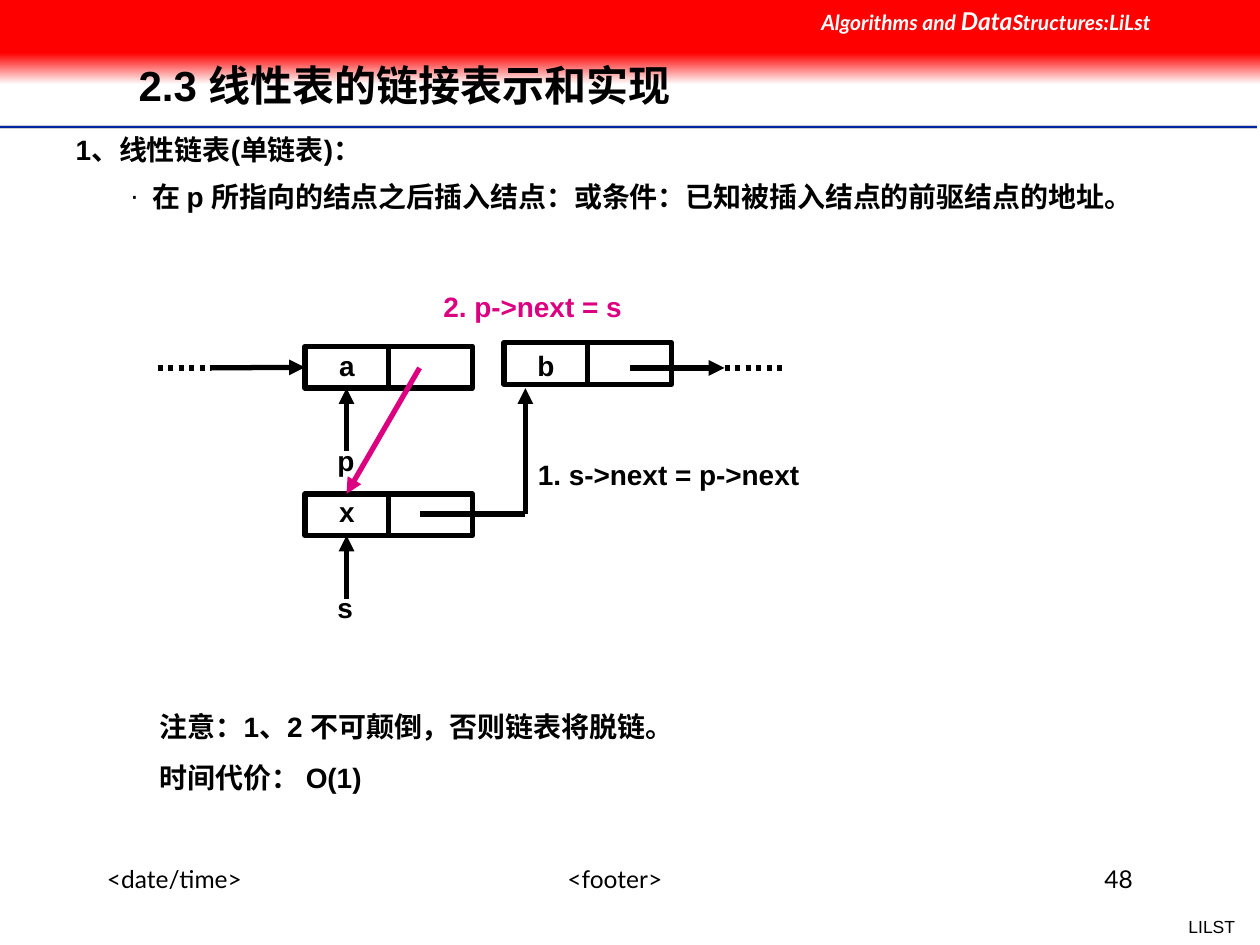
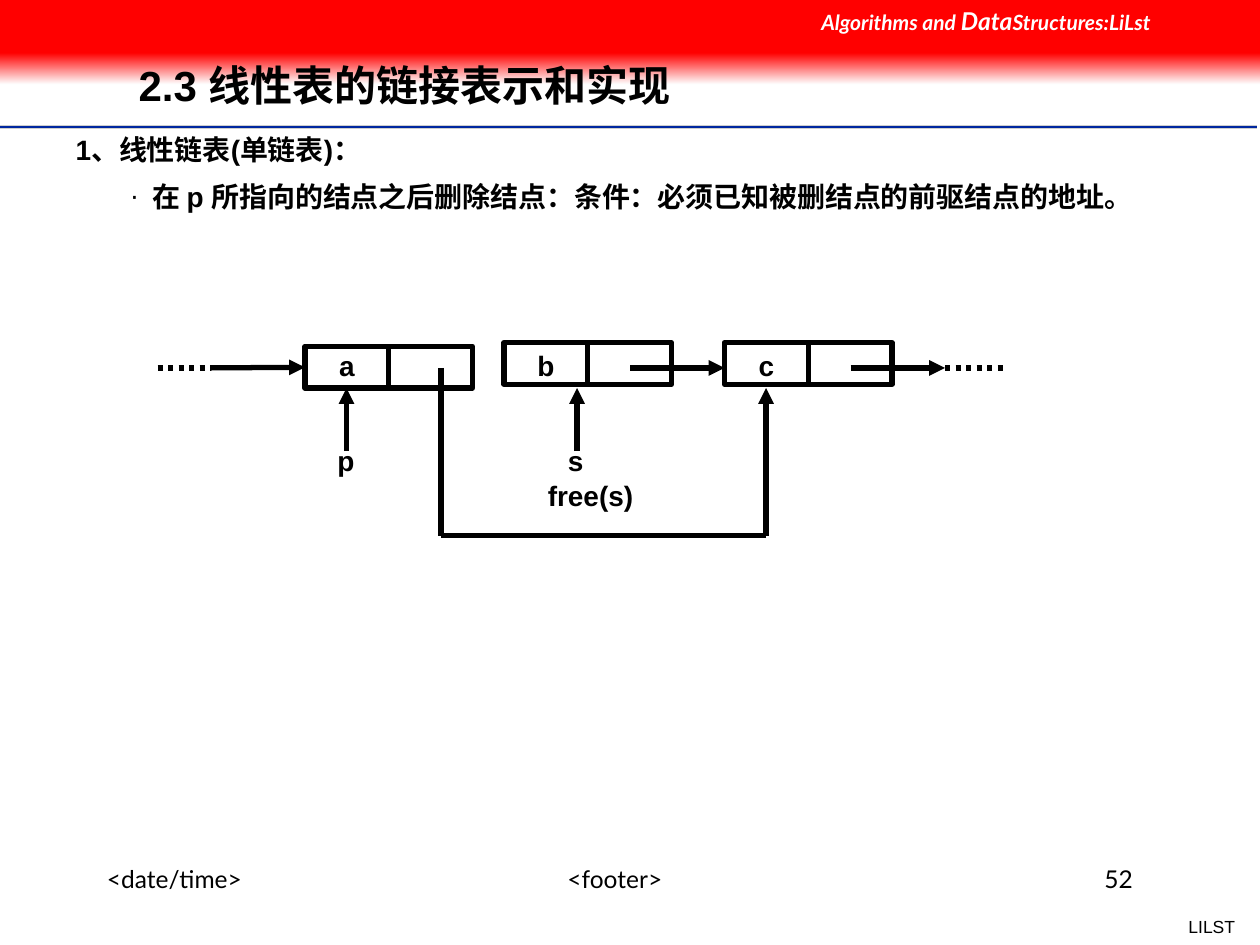
from lxml import etree
from pptx import Presentation
from pptx.dml.color import RGBColor
from pptx.enum.dml import MSO_LINE
from pptx.enum.shapes import MSO_CONNECTOR, MSO_SHAPE
from pptx.enum.text import MSO_ANCHOR, MSO_AUTO_SIZE, PP_ALIGN
from pptx.oxml.ns import qn
from pptx.util import Inches, Pt

DOTTED = MSO_LINE.ROUND_DOT
STRAIGHT = MSO_CONNECTOR.STRAIGHT
RECTANGLE = MSO_SHAPE.RECTANGLE
LEFT, CENTER, RIGHT = PP_ALIGN.LEFT, PP_ALIGN.CENTER, PP_ALIGN.RIGHT

BLACK, WHITE, RED, MAGENTA = "000000", "FFFFFF", "FF0000", "DC0081"
FADE_END, RULE_GREY, RULE_BLUE = "FEFEFE", "CECECE", "00279F"

# Text formats
BOLD_TEXT = {"name": "Arial", "size": Pt(16), "bold": True}
TITLE_TEXT = {"name": "Arial", "size": Pt(24), "bold": True}
FOOTER_TEXT = {"name": "Lato", "size": Pt(14), "bold": False}
AUTHOR_TEXT = {"name": "Arial", "size": Pt(10), "bold": False}
COURSE_TEXT = {"name": "Lato", "size": Pt(12), "bold": True, "italic": True}

# Shared content
TITLE = "2.3 线性表的链接表示和实现"
TOPIC = "1、线性链表(单链表)："
COURSE = [("Algorithms and ", 12), ("Data", 14), ("Structures:LiLst", 12)]
FOOTERS = [("<date/time>", (0.75, 6.81, 1.92, 0.5), LEFT),
           ("<footer>", (3.42, 6.81, 2.92, 0.5), CENTER)]
NUMBER_BOX = (7.17, 6.81, 1.92, 0.5)
TITLE_RULES = [(1.01, RULE_GREY, 2), (1.01, RULE_BLUE, 1), (1.03, WHITE, 1)]

# Diagram measures
NODE_W, NODE_H, TEXT_H = 1.33, 0.33, 0.37
LINK_Y = 2.92          # height of the links along the list
LINK_LENGTH, DOTS_LENGTH = 0.75, 0.5
POINTER_LENGTH = 0.5

# Nodes: label, left, top, label top, has a link to the next node
# Pointers: name, x, bottom of the node it points at
# Links: from, to, colour, ends in an arrow
# Captions: paragraphs, box, colour
SLIDES = [
    {
        "number": "48",
        "point": "在 p 所指向的结点之后插入结点：或条件：已知被插入结点的前驱结点的地址。",
        "nodes": [("a", 2.42, 2.75, 2.72, False),
                  ("b", 4, 2.72, 2.72, True),
                  ("x", 2.42, 3.92, 3.88, False)],
        "pointers": [("p", 2.75, 3.08), ("s", 2.75, 4.25)],
        "links": [((3.33, LINK_Y), (2.75, 3.92), MAGENTA, True),
                  ((3.33, 4.08), (4.17, 4.08), BLACK, False),
                  ((4.17, 4.08), (4.17, 3.08), BLACK, True)],
        "list_end": 5.75,
        "captions": [
            (["1. s->next = p->next"], (4.17, 3.58, 2.42, TEXT_H), BLACK),
            (["2. p->next = s"], (3.42, 2.25, 1.67, TEXT_H), MAGENTA),
            (["注意：1、2 不可颠倒，否则链表将脱链。", "时间代价： O(1)"],
             (1.17, 5.58, 5.67, 0.77), BLACK),
        ],
    },
    {
        "number": "52",
        "point": "在 p 所指向的结点之后删除结点：条件：必须已知被删结点的前驱结点的地址。",
        "nodes": [("a", 2.42, 2.75, 2.72, False),
                  ("b", 4, 2.72, 2.72, True),
                  ("c", 5.75, 2.72, 2.72, True)],
        "pointers": [("p", 2.75, 3.08), ("s", 4.58, 3.08)],
        "links": [((3.5, LINK_Y), (3.5, 4.25), BLACK, False),
                  ((3.5, 4.25), (6.08, 4.25), BLACK, False),
                  ((6.08, 4.25), (6.08, 3.08), BLACK, True)],
        "list_end": 7.5,
        "captions": [(["free(s)"], (4.25, 3.75, 2.83, TEXT_H), BLACK)],
    },
]


def rgb(hex_colour):
    return RGBColor.from_string(hex_colour)


def inches(values):
    return [Inches(value) for value in values]


def set_font(font, text_format, colour=BLACK):
    for attribute, value in text_format.items():
        setattr(font, attribute, value)
    font.color.rgb = rgb(colour)


def add_text(slide, paragraphs, box, text_format=BOLD_TEXT, colour=BLACK,
             align=LEFT, wrap=True):
    text_box = slide.shapes.add_textbox(*inches(box))
    frame = text_box.text_frame
    frame.word_wrap = wrap
    frame.text = "\n".join(paragraphs)
    for index, paragraph in enumerate(frame.paragraphs):
        paragraph.alignment = align
        paragraph.space_before = Pt(10 if index else 0)
        for run in paragraph.runs:
            set_font(run.font, text_format, colour)
    return text_box


def add_rectangle(slide, box, fill=WHITE):
    rectangle = slide.shapes.add_shape(RECTANGLE, *inches(box))
    rectangle.shadow.inherit = False
    rectangle.fill.solid()
    rectangle.fill.fore_color.rgb = rgb(fill)
    rectangle.line.fill.background()
    return rectangle


def add_line(slide, start, end, colour=BLACK, width=3, arrow=False, dotted=False):
    connector = slide.shapes.add_connector(STRAIGHT, *inches(start + end))
    connector.line.color.rgb = rgb(colour)
    connector.line.width = Pt(width)
    if dotted:
        connector.line.dash_style = DOTTED
    properties = connector.element.spPr
    if arrow:
        etree.SubElement(properties.find(qn("a:ln")), qn("a:tailEnd"), type="triangle")
    etree.SubElement(properties, qn("a:effectLst"))
    return connector


def furnish_layout(layout, slide):
    """Draw the shared parts with the slide's tools, then move them to its layout."""
    shared = [add_line(slide, (0, y), (9.98, y), colour, width)
              for y, colour, width in TITLE_RULES]
    shared.append(add_text(slide, ["LILST"], (9.33, 7.22, 0.57, 0.27),
                           AUTHOR_TEXT, align=RIGHT, wrap=False))
    shared += [add_text(slide, [text], box, FOOTER_TEXT, align=align)
               for text, box, align in FOOTERS]

    # Red band fading into the page
    fade = add_rectangle(slide, (0, 0.42, 10, 0.25))
    fade.fill.gradient()
    fade.fill.gradient_angle = 270
    for stop, colour in zip(fade.fill.gradient_stops, (RED, FADE_END)):
        stop.color.rgb = rgb(colour)
    shared += [fade, add_rectangle(slide, (0, 0, 10, 0.42), RED)]

    # Course name
    course = add_text(slide, [""], (6.42, 0, 3.58, 0.34))
    for text, size in COURSE:
        run = course.text_frame.paragraphs[0].add_run()
        run.text = text
        set_font(run.font, {**COURSE_TEXT, "size": Pt(size)}, WHITE)
    shared.append(course)

    for part in shared:
        layout.shapes.element.append(part.element)


def place(placeholder, box):
    placeholder.left, placeholder.top, placeholder.width, placeholder.height = inches(box)
    placeholder.text_frame.auto_size = MSO_AUTO_SIZE.NONE
    placeholder.text_frame.word_wrap = True
    return placeholder.text_frame


def fill_placeholders(slide, point):
    title = place(slide.shapes.title, (1, 0.33, 7.55, 0.74))
    title.text = TITLE
    title.vertical_anchor = MSO_ANCHOR.MIDDLE
    heading = title.paragraphs[0]
    heading.alignment = LEFT
    heading.line_spacing = 0.9
    set_font(heading.font, TITLE_TEXT)

    body = place(slide.placeholders[1], (0, 1, 9.58, 0.75))
    body.text = TOPIC + "\n" + point
    body.vertical_anchor = MSO_ANCHOR.TOP
    for paragraph, bullet, margin, indent, before in zip(
            body.paragraphs, (None, "·"), (0.5, 1.11), (0, -0.18), (0, 7.5)):
        properties = paragraph._p.get_or_add_pPr()
        properties.set("marL", str(Inches(margin)))
        properties.set("indent", str(Inches(indent)))
        if bullet:
            etree.SubElement(properties, qn("a:buFont"), typeface="Arial")
            etree.SubElement(properties, qn("a:buChar"), char=bullet)
        else:
            etree.SubElement(properties, qn("a:buNone"))
        paragraph.space_before = Pt(before)
        set_font(paragraph.font, BOLD_TEXT)


def draw_list(slide, content):
    # Nodes with a data half and a link half
    nodes = {}
    for label, left, top, label_top, linked in content["nodes"]:
        node = add_rectangle(slide, (left, top, NODE_W, NODE_H))
        node.line.color.rgb = rgb(BLACK)
        node.line.width = Pt(3)
        nodes[label] = node
        middle = left + NODE_W / 2
        add_line(slide, (middle, top), (middle, top + NODE_H))
        add_text(slide, [label], (left, label_top, NODE_W / 2, TEXT_H), align=CENTER)
    for label, left, top, label_top, linked in content["nodes"]:
        if linked:
            add_line(slide, (left + 1, LINK_Y), (left + 1 + LINK_LENGTH, LINK_Y), arrow=True)

    # The list goes on at both ends
    add_line(slide, (1.25, LINK_Y), (1.67, LINK_Y), dotted=True)
    add_line(slide, (1.67, LINK_Y), (2.42, LINK_Y), arrow=True).end_connect(nodes["a"], 1)
    list_end = content["list_end"]
    add_line(slide, (list_end, LINK_Y), (list_end + DOTS_LENGTH, LINK_Y), dotted=True)

    # Changed links and pointers
    for start, end, colour, arrow in content["links"]:
        add_line(slide, start, end, colour, arrow=arrow)
    for name, x, bottom in content["pointers"]:
        add_line(slide, (x, bottom + POINTER_LENGTH), (x, bottom), arrow=True)
        add_text(slide, [name], (x - 0.17, bottom + 0.39, 0.33, TEXT_H))


def main():
    deck = Presentation()
    deck.slide_width, deck.slide_height = Inches(10), Inches(7.5)
    layout = deck.slide_layouts[1]
    for index, content in enumerate(SLIDES):
        slide = deck.slides.add_slide(layout)
        if index == 0:
            furnish_layout(layout, slide)
        fill_placeholders(slide, content["point"])
        draw_list(slide, content)
        for paragraphs, box, colour in content["captions"]:
            add_text(slide, paragraphs, box, colour=colour)
        add_text(slide, [content["number"]], NUMBER_BOX, FOOTER_TEXT, align=RIGHT)
    deck.save("out.pptx")


if __name__ == "__main__":
    main()
